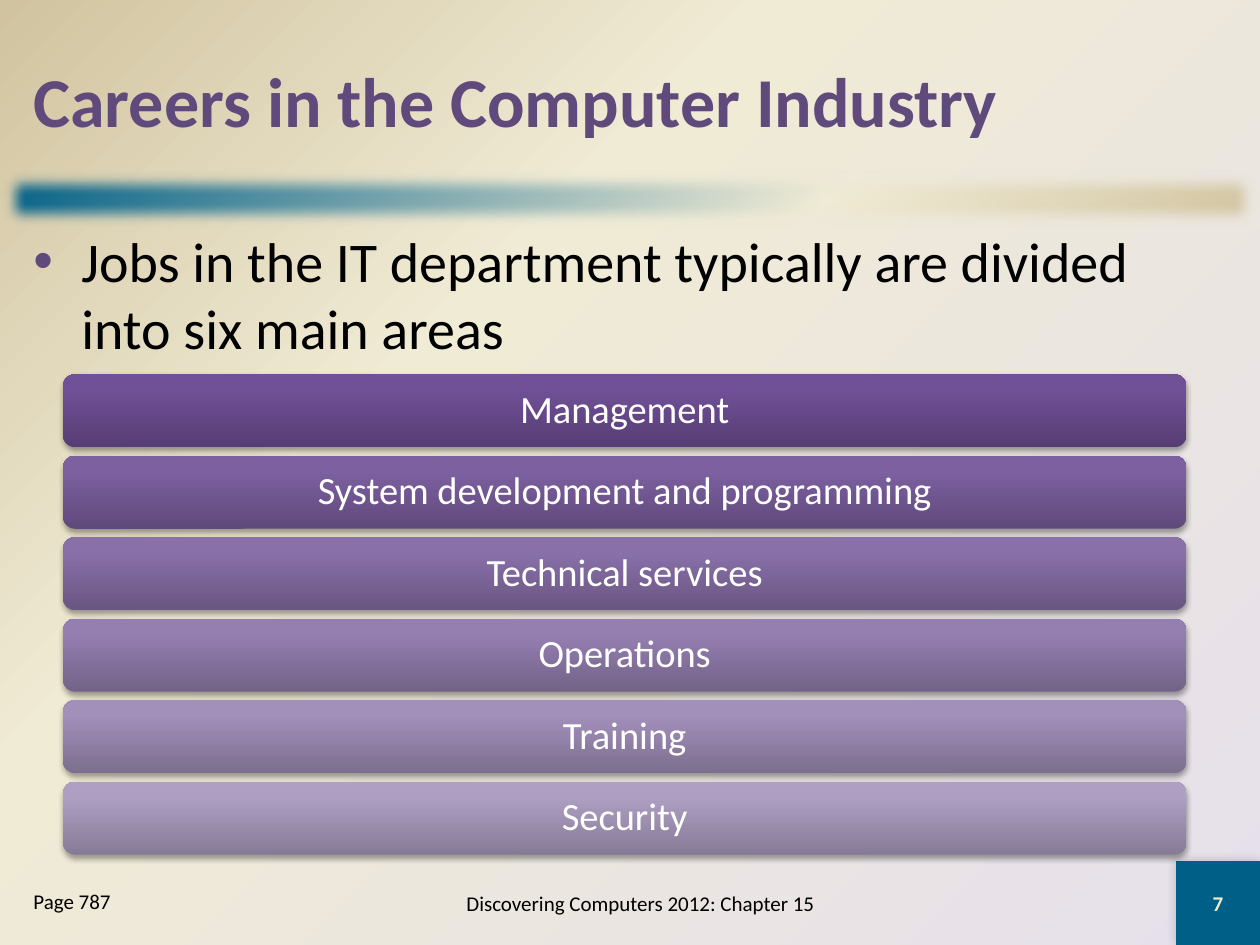
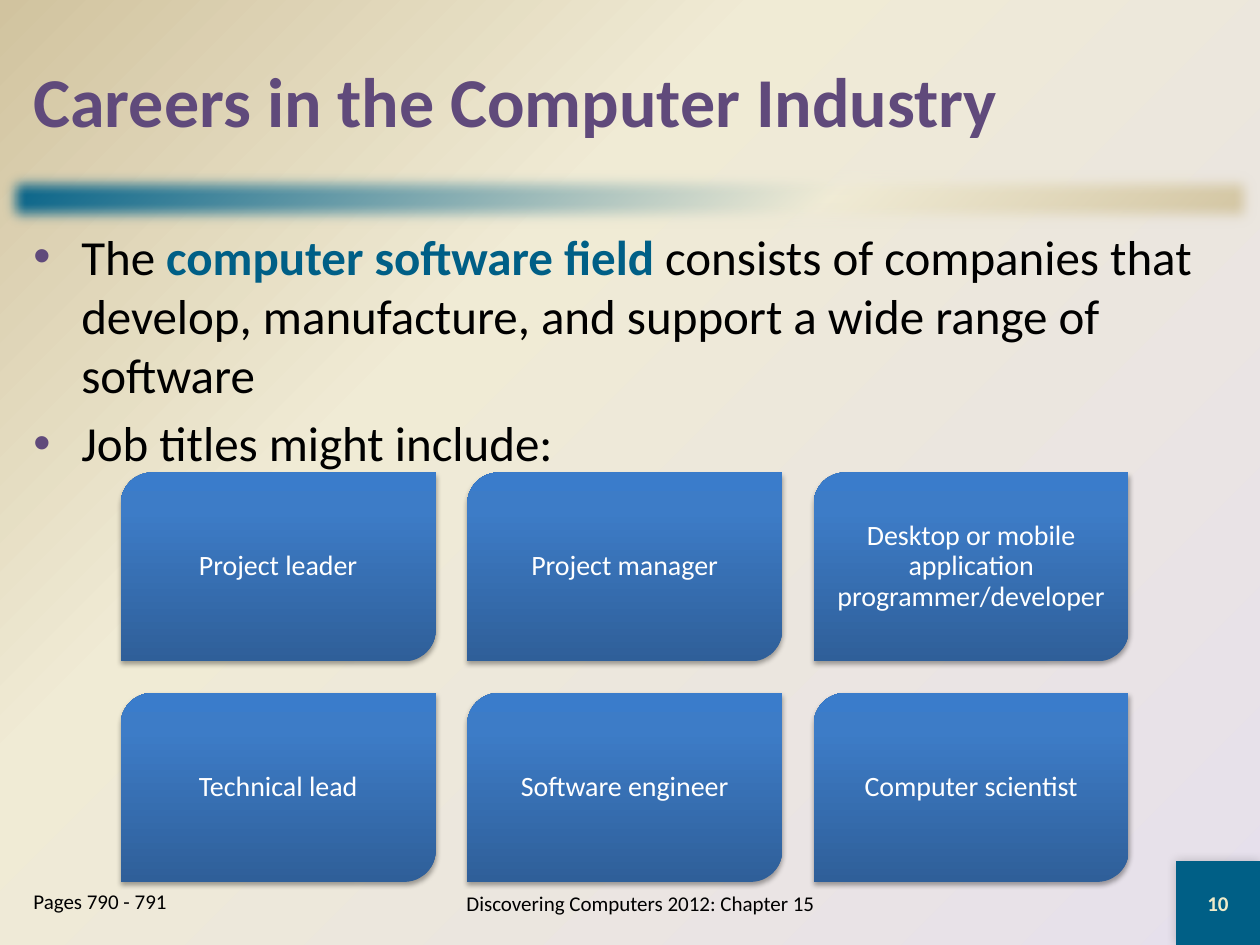
from dataclasses import dataclass

from lxml import etree
from pptx import Presentation
from pptx.dml.color import RGBColor
from pptx.enum.shapes import MSO_SHAPE
from pptx.enum.text import MSO_ANCHOR, PP_ALIGN
from pptx.oxml.ns import qn
from pptx.util import Inches, Pt

RECT = MSO_SHAPE.RECTANGLE
ROUNDED = MSO_SHAPE.ROUNDED_RECTANGLE
DIAGONAL = MSO_SHAPE.ROUND_2_DIAG_RECTANGLE
LEFT, CENTER = PP_ALIGN.LEFT, PP_ALIGN.CENTER
TOP, MIDDLE = MSO_ANCHOR.TOP, MSO_ANCHOR.MIDDLE

# The slide is a grid of square cells, 60 columns by 45 rows.
COLUMNS, ROWS = 60, 45
CELL = Inches(10) / COLUMNS


@dataclass(frozen=True)
class Theme:
    font: str = "Calibri"
    purple: str = "604A7B"
    teal: str = "005F86"
    cream: str = "F0EBD5"
    tan: str = "D1C39F"
    lavender: str = "E6E0EC"
    number: str = "EEEBCA"
    black: str = "000000"
    white: str = "FFFFFF"
    area_first: tuple = ("563D74", "705097", "704F99")
    area_last: tuple = ("867B96", "AE9FC3", "AE9FC4")
    job: tuple = ("2F5F99", "3D7CC7", "3A7CCB")
    title_size: float = 40
    area_size: float = 22
    job_size: float = 16
    footer_size: float = 12


THEME = Theme()
# opacity %, blur pt, distance pt, direction in degrees
SOFT_SHADOW = (35, 3.1, 1.8, 90)
CORNER_SHADOW = (20, 6, 0, 225)


def cells(*counts):
    return [round(count * CELL) for count in counts]


def child(parent, tag, **attributes):
    node = etree.SubElement(parent, qn(tag))
    for name, value in attributes.items():
        node.set(name, str(value))
    return node


def apply_gradient(fill, owner, stops, angle=None):
    """Fill with (percent, colour) stops; without an angle, radiate from the lower right."""
    fill.gradient()
    gradient = owner.find(".//" + qn("a:gradFill"))
    for old in list(gradient):
        gradient.remove(old)
    stop_list = child(gradient, "a:gsLst")
    for percent, color in stops:
        stop = child(stop_list, "a:gs", pos=percent * 1000)
        child(stop, "a:srgbClr", val=color)
    if angle is None:
        center = child(gradient, "a:path", path="circle")
        child(center, "a:fillToRect", l=100000, t=100000)
    else:
        child(gradient, "a:lin", ang=angle * 60000, scaled=0)


def add_effect(shape, tag, **attributes):
    effects = shape.element.spPr.find(qn("a:effectLst"))
    return child(effects, tag, **attributes)


def add_shadow(shape, opacity, blur, distance, direction):
    shadow = add_effect(shape, "a:outerShdw", blurRad=int(Pt(blur)), dist=int(Pt(distance)),
                        dir=direction * 60000, algn="ctr", rotWithShape=0)
    color = child(shadow, "a:srgbClr", val=THEME.black)
    child(color, "a:alpha", val=opacity * 1000)


def add_panel(slide, kind, box):
    panel = slide.shapes.add_shape(kind, *cells(*box))
    panel.shadow.inherit = False
    panel.line.fill.background()
    return panel


def add_run(paragraph, text, size, color, bold=False):
    run = paragraph.add_run()
    run.text = text
    run.font.name = THEME.font
    run.font.size = Pt(size)
    run.font.bold = bold
    run.font.color.rgb = RGBColor.from_string(color)


def add_label(slide, box, text, size, color, bold=False, align=LEFT, anchor=MIDDLE):
    frame = slide.shapes.add_textbox(*cells(*box)).text_frame
    frame.word_wrap = True
    frame.vertical_anchor = anchor
    frame.paragraphs[0].alignment = align
    add_run(frame.paragraphs[0], text, size, color, bold)


def add_bullets(slide, points, size):
    """Each point is a list of (text, is_key_term) pairs."""
    frame = slide.shapes.add_textbox(*cells(1, 10.5, 58, 30.5)).text_frame
    frame.word_wrap = True
    for index, point in enumerate(points):
        paragraph = frame.add_paragraph() if index else frame.paragraphs[0]
        properties = paragraph._p.get_or_add_pPr()
        properties.set("marL", str(Inches(0.38)))
        properties.set("indent", str(-Inches(0.38)))
        child(child(properties, "a:buClr"), "a:srgbClr", val=THEME.purple)
        child(properties, "a:buFont", typeface="Arial")
        child(properties, "a:buChar", char="•")
        if index:
            paragraph.space_before = Pt(size * 0.2)
        for text, is_key_term in point:
            add_run(paragraph, text, size, THEME.teal if is_key_term else THEME.black, is_key_term)


def add_card(slide, kind, box, text, size, colors):
    card = add_panel(slide, kind, box)
    apply_gradient(card.fill, card.element.spPr, zip((0, 80, 100), colors), 270)
    add_shadow(card, *SOFT_SHADOW)
    frame = card.text_frame
    frame.word_wrap = True
    frame.vertical_anchor = MIDDLE
    frame.margin_left = frame.margin_right = Inches(0.02)
    frame.margin_top = frame.margin_bottom = Inches(0.02)
    paragraph = frame.paragraphs[0]
    paragraph.alignment = CENTER
    paragraph.line_spacing = 0.9
    add_run(paragraph, text, size, THEME.white)


def blend(start, end, share):
    pairs = zip(bytes.fromhex(start), bytes.fromhex(end))
    return "".join(f"{round(a + (b - a) * share):02X}" for a, b in pairs)


def add_area_list(slide, areas):
    """Stack full-width bars that fade from dark to light."""
    for row, area in enumerate(areas):
        share = row / (len(areas) - 1)
        colors = [blend(first, last, share)
                  for first, last in zip(THEME.area_first, THEME.area_last)]
        box = (3, 17.82 + row * 3.88, 53.5, 3.48)
        add_card(slide, ROUNDED, box, area, THEME.area_size, colors)


def add_job_grid(slide, jobs, columns=3):
    width, height, gap = 15, 9, 1.5
    for index, job in enumerate(jobs):
        row, column = divmod(index, columns)
        box = (5.75 + column * (width + gap), 22.5 + row * (height + gap), width, height)
        add_card(slide, DIAGONAL, box, job, THEME.job_size, THEME.job)


def add_base_slide(deck, number, pages):
    """Start a slide with the title, divider band and footer that all slides share."""
    slide = deck.slides.add_slide(deck.slide_layouts[6])
    band = add_panel(slide, RECT, (0, 8, COLUMNS, 3))
    apply_gradient(band.fill, band.element.spPr,
                   [(0, THEME.teal), (65, THEME.cream), (100, THEME.tan)], 45)
    add_effect(band, "a:softEdge", rad=112500)

    corner_box = (COLUMNS - 4, ROWS - 4, 4, 4)
    corner = add_panel(slide, RECT, corner_box)
    corner.fill.solid()
    corner.fill.fore_color.rgb = RGBColor.from_string(THEME.teal)
    add_shadow(corner, *CORNER_SHADOW)

    size = THEME.footer_size
    add_label(slide, (1, 1, 58, 7.5), "Careers in the Computer Industry",
              THEME.title_size, THEME.purple, bold=True)
    add_label(slide, (18, 41.5, 25, 3), "Discovering Computers 2012: Chapter 15",
              size, THEME.black, align=CENTER)
    add_label(slide, corner_box, str(number), size, THEME.number, bold=True, align=CENTER)
    add_label(slide, (1, 42, 11, 3), pages, size, THEME.black, anchor=TOP)
    return slide


def main():
    deck = Presentation()
    deck.slide_width, deck.slide_height = cells(COLUMNS, ROWS)
    master = deck.slide_master
    backdrop = master.background.fill
    apply_gradient(backdrop, master.element.find(".//" + qn("p:bg")),
                   [(0, THEME.lavender), (65, THEME.cream), (100, THEME.tan)])

    departments = add_base_slide(deck, 7, "Page 787")
    add_bullets(departments, [
        [("Jobs in the IT department typically are divided into six main areas", False)],
    ], 32)
    add_area_list(departments, [
        "Management", "System development and programming", "Technical services",
        "Operations", "Training", "Security",
    ])

    software = add_base_slide(deck, 10, "Pages 790 - 791")
    add_bullets(software, [
        [("The ", False), ("computer software field ", True),
         ("consists of companies that develop, manufacture, and support "
          "a wide range of software", False)],
        [("Job titles might include:", False)],
    ], 28)
    add_job_grid(software, [
        "Project leader", "Project manager",
        "Desktop or mobile application programmer/developer",
        "Technical lead", "Software engineer", "Computer scientist",
    ])
    deck.save("out.pptx")


if __name__ == "__main__":
    main()
